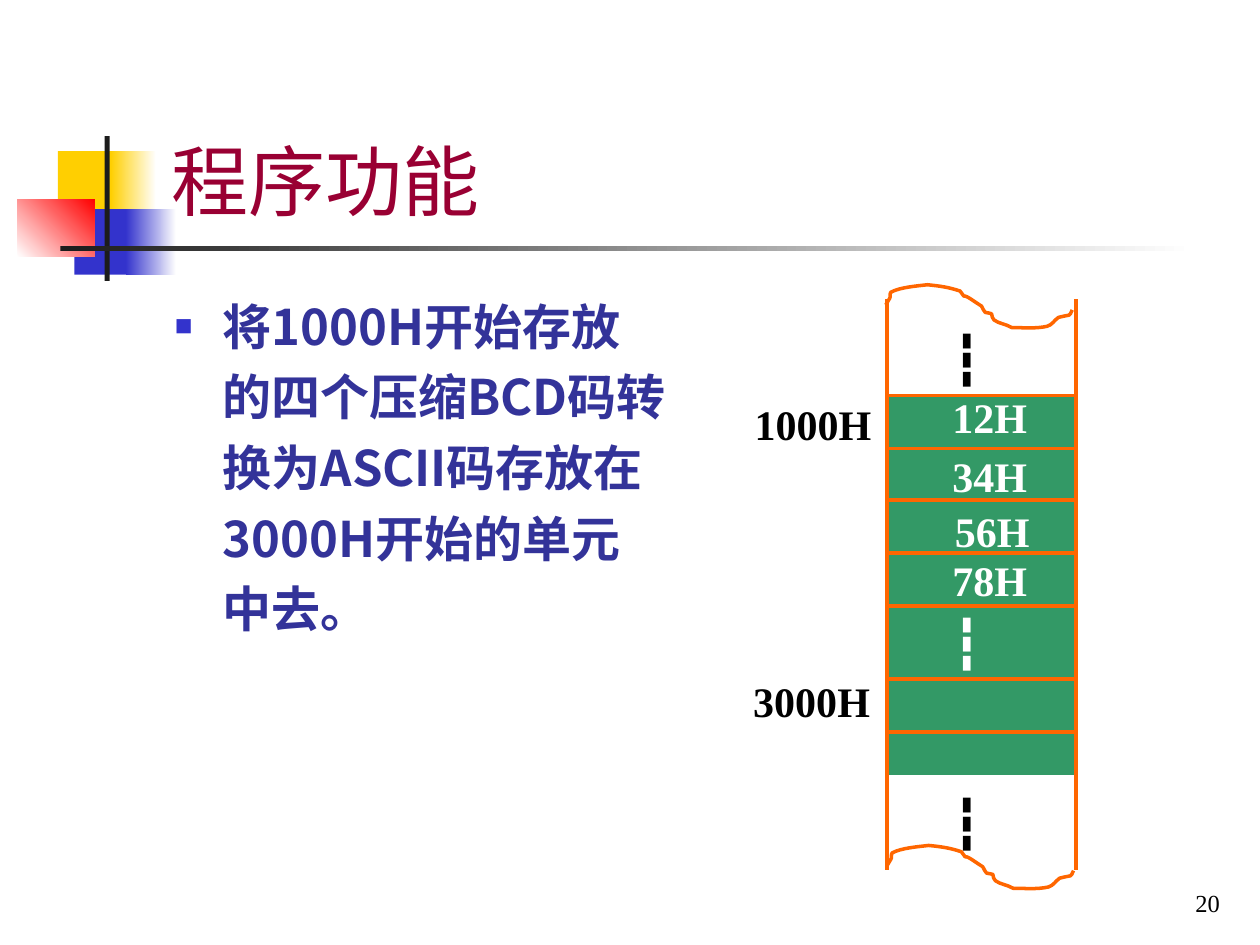
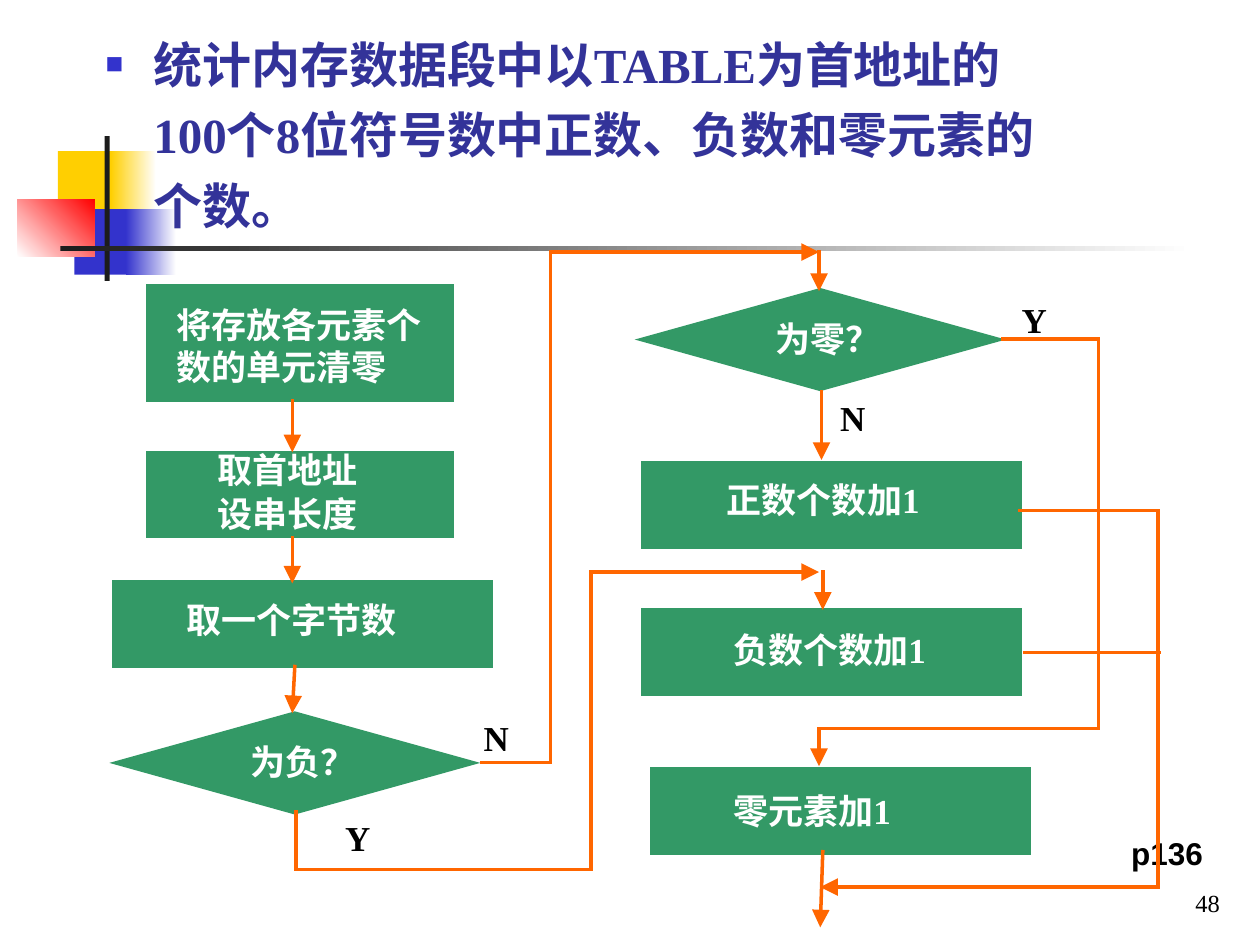
from dataclasses import dataclass
from lxml.etree import SubElement
from pptx import Presentation
from pptx.dml.color import RGBColor
from pptx.enum.shapes import MSO_CONNECTOR as Connector, MSO_SHAPE as Preset
from pptx.enum.text import MSO_ANCHOR as Anchor, PP_ALIGN as Align
from pptx.oxml.ns import qn
from pptx.util import Inches, Pt


@dataclass(frozen=True)
class Theme:
    title: str = "990033"
    body: str = "333399"
    bullet: str = "3333CC"
    green: str = "339966"
    orange: str = "FF6600"
    yellow: str = "FFCF01"
    red: str = "FF0000"
    dark: str = "1C1C1C"
    black: str = "000000"
    white: str = "FFFFFF"
    serif: str = "Times New Roman"
    sans: str = "Arial"
    cjk: str = "Noto Sans CJK SC"
    title_size: int = 44
    body_size: int = 28
    cell_size: int = 24
    step_size: int = 20
    note_size: int = 18
    page_size: int = 14
    line: int = 2


THEME = Theme()


def rgb(value):
    return RGBColor.from_string(value)


def write(frame, text, size=THEME.step_size, color=THEME.white, font=THEME.serif,
          asian=THEME.cjk, bold=True, align=Align.LEFT, bullet=False, gap=0):
    frame.word_wrap = True
    for index, line in enumerate(text.split("\n")):
        paragraph = frame.add_paragraph() if index else frame.paragraphs[0]
        paragraph.alignment = align
        if index:
            paragraph.space_before = Pt(gap)
        if bullet:
            add_bullet(paragraph)
        run = paragraph.add_run()
        run.text = line
        run.font.size, run.font.bold, run.font.name = Pt(size), bold, font
        run.font.color.rgb = rgb(color)
        SubElement(run.font._element, qn("a:ea"), typeface=asian)


def add_bullet(paragraph):
    properties = paragraph._p.get_or_add_pPr()
    properties.set("marL", str(Inches(0.38)))
    properties.set("indent", str(-Inches(0.38)))
    color = SubElement(properties, qn("a:buClr"))
    SubElement(color, qn("a:srgbClr"), val=THEME.bullet)
    SubElement(properties, qn("a:buSzPct"), val="60000")
    SubElement(properties, qn("a:buFont"), typeface=THEME.sans)
    SubElement(properties, qn("a:buChar"), char="■")
    paragraph.line_spacing = 1.2


class Deck:
    def __init__(self, theme):
        self.theme = theme
        self.presentation = Presentation()
        self.presentation.slide_width = Inches(10)
        self.presentation.slide_height = Inches(7.5)
        self.slide = None

    def new_slide(self, number):
        theme = self.theme
        self.slide = self.presentation.slides.add_slide(self.presentation.slide_layouts[6])
        self.box(0.46, 1.2, 0.48, 0.52, theme.yellow)
        self.fade(0.88, 1.2, 0.36, 0.52, theme.yellow, theme.white)
        self.box(0.59, 1.66, 0.46, 0.52, theme.bullet)
        self.fade(1, 1.66, 0.4, 0.52, theme.bullet, theme.white)
        self.fade(0.14, 1.58, 0.61, 0.46, theme.white, theme.red, angle=45)
        self.box(0.83, 1.08, 0.04, 1.15, theme.dark)
        self.fade(0.48, 1.95, 9, 0.04, theme.dark, theme.white)
        self.text(7.7, 6.83, 2.08, 0.5, str(number), anchor=Anchor.BOTTOM,
                  size=theme.page_size, color=theme.black, bold=False, align=Align.RIGHT)

    def box(self, left, top, width, height, fill, line=None, preset=Preset.RECTANGLE):
        shape = self.slide.shapes.add_shape(
            preset, Inches(left), Inches(top), Inches(width), Inches(height))
        shape.shadow.inherit = False
        shape.fill.solid()
        shape.fill.fore_color.rgb = rgb(fill)
        self.outline(shape, line)
        if line:
            SubElement(shape.line._get_or_add_ln(), qn("a:miter"), lim="800000")
        return shape

    def outline(self, shape, color):
        if color:
            shape.line.color.rgb = rgb(color)
            shape.line.width = Pt(self.theme.line)
        else:
            shape.line.fill.background()

    def fade(self, left, top, width, height, start, end, angle=0):
        shape = self.box(left, top, width, height, start)
        shape.fill.gradient()
        shape.fill.gradient_angle = angle
        for stop, color in zip(shape.fill.gradient_stops, (start, end)):
            stop.color.rgb = rgb(color)

    def text(self, left, top, width, height, text, anchor=Anchor.TOP, **style):
        shape = self.slide.shapes.add_textbox(
            Inches(left), Inches(top), Inches(width), Inches(height))
        shape.text_frame.vertical_anchor = anchor
        write(shape.text_frame, text, **style)

    def green_box(self, left, top, width, height, preset=Preset.RECTANGLE):
        self.box(left, top, width, height, self.theme.green, self.theme.green, preset)

    def route(self, *points, arrow=False):
        for index, (start, end) in enumerate(zip(points, points[1:]), 1):
            connector = self.slide.shapes.add_connector(
                Connector.STRAIGHT, *(Inches(value) for value in start + end))
            self.outline(connector, self.theme.orange)
            line = connector.line._get_or_add_ln()
            line.set("cap", "sq")
            if arrow and index == len(points) - 1:
                SubElement(line, qn("a:tailEnd"), type="triangle", w="lg", len="lg")
            SubElement(connector._element.spPr, qn("a:effectLst"))

    def curve(self, points, left=0, top=0):
        points = [(Inches(left + x), Inches(top + y)) for x, y in points]
        builder = self.slide.shapes.build_freeform(*points[0])
        builder.add_line_segments(points[1:], close=False)
        shape = builder.convert_to_shape()
        segments = list(shape._element.iter(qn("a:lnTo")))
        outline = segments[0].getparent()
        for index in range(0, len(segments), 3):
            bezier = SubElement(outline, qn("a:cubicBezTo"))
            for segment in segments[index:index + 3]:
                bezier.append(segment[0])
                outline.remove(segment)
        shape.shadow.inherit = False
        shape.fill.background()
        self.outline(shape, self.theme.orange)


TORN_EDGE = [
    (7.03, 2.42), (7.04, 2.4), (7.05, 2.39), (7.06, 2.37), (7.07, 2.36), (7.06, 2.33),
    (7.07, 2.32), (7.14, 2.28), (7.28, 2.27), (7.36, 2.26), (7.46, 2.27), (7.53, 2.28),
    (7.62, 2.31), (7.68, 2.39), (7.62, 2.32), (7.7, 2.37), (7.73, 2.39), (7.79, 2.43),
    (7.79, 2.43), (7.8, 2.45), (7.81, 2.47), (7.82, 2.48), (7.84, 2.49), (7.86, 2.48),
    (7.87, 2.49), (7.88, 2.51), (7.87, 2.53), (7.89, 2.54), (7.93, 2.57), (7.98, 2.57),
    (8.03, 2.6), (8.12, 2.6), (8.22, 2.61), (8.31, 2.59), (8.35, 2.58), (8.37, 2.54),
    (8.4, 2.52), (8.51, 2.49), (8.48, 2.52), (8.51, 2.46),
]


def memory_slide(deck):
    theme = deck.theme
    deck.new_slide(20)
    deck.text(1.26, 0.24, 8.52, 1.6, "程序功能", anchor=Anchor.BOTTOM,
              size=theme.title_size, color=theme.title, bold=False)
    deck.text(1.29, 2.21, 4.1, 4.54,
              "将1000H开始存放的四个压缩BCD码转换为ASCII码存放在3000H开始的单元中去。",
              size=theme.body_size, color=theme.body, font=theme.cjk, bullet=True)
    left, right = 7.04, 8.54
    deck.green_box(left, 3.14, right - left, 3)
    for x, lower_top in ((left, 3.22), (right, 3.14)):
        deck.route((x, 2.39), (x, 3.31))
        deck.route((x, lower_top), (x, 6.89))
    for y in (3.14, 3.56, 3.97, 4.39, 4.81, 5.39, 5.81):
        deck.route((left, y), (right, y))
    deck.curve(TORN_EDGE)
    deck.curve(TORN_EDGE, left=0.01, top=4.45)
    for top, color in ((2.56, theme.black), (4.81, theme.white), (6.24, theme.black)):
        deck.text(7.46, top, 0.75, 0.57, "┇", size=theme.body_size, color=color,
                  asian=theme.serif)
    for x, top, value in ((7.46, 3.06, "12H"), (7.46, 3.53, "34H"),
                          (7.48, 3.96, "56H"), (7.46, 4.35, "78H")):
        deck.text(x, top, 0.83, 0.5, value, size=theme.cell_size)
    for x, top, address in ((5.89, 3.11, "1000H"), (5.88, 5.31, "3000H")):
        deck.text(x, top, 1.33, 0.5, address, size=theme.cell_size, color=theme.black)


def flowchart_slide(deck):
    theme = deck.theme
    deck.new_slide(48)
    for left, top, width, height in (
            (1.17, 2.27, 2.42, 0.91), (1.17, 3.59, 2.42, 0.67), (0.9, 4.62, 3, 0.67),
            (5.1, 3.67, 3, 0.67), (5.1, 4.84, 3, 0.67), (5.17, 6.1, 3, 0.67)):
        deck.green_box(left, top, width, height)
    for left, top in ((0.92, 5.66), (5.09, 2.3)):
        deck.green_box(left, top, 2.84, 0.79, Preset.FLOWCHART_DECISION)
    for left, top, width, height, step in (
            (1.3, 2.36, 2.2, 0.77, "将存放各元素个数的单元清零"),
            (1.63, 3.51, 1.69, 0.79, "取首地址\n设串长度"),
            (1.38, 4.7, 2.12, 0.44, "取一个字节数"),
            (1.89, 5.83, 1.23, 0.44, "为负？"),
            (6.06, 2.47, 1.23, 0.44, "为零？"),
            (5.67, 3.75, 1.95, 0.44, "正数个数加1"),
            (5.72, 4.94, 1.95, 0.44, "负数个数加1"),
            (5.72, 6.22, 1.66, 0.44, "零元素加1")):
        deck.text(left, top, width, height, step, gap=1.2)
    for left, top, answer in ((3.74, 5.64, "N"), (2.64, 6.43, "Y"),
                              (6.57, 3.1, "N"), (8.01, 2.32, "Y")):
        deck.text(left, top, 0.47, 0.44, answer, color=theme.black)
    deck.text(8.88, 6.57, 0.87, 0.4, "p136", size=theme.note_size,
              color=theme.black, font=theme.sans)
    for points in (
            ((2.32, 3.18), (2.32, 3.59)),
            ((2.32, 4.27), (2.32, 4.63)),
            ((2.34, 5.29), (2.32, 5.66)),
            ((3.82, 6.05), (4.37, 6.05), (4.37, 2), (6.5, 2)),
            ((6.5, 2), (6.5, 2.31)),
            ((6.52, 3.11), (6.52, 3.65)),
            ((2.35, 6.44), (2.35, 6.9), (4.69, 6.9), (4.69, 4.54), (6.5, 4.54)),
            ((6.53, 4.54), (6.53, 4.84)),
            ((7.96, 2.69), (8.72, 2.69), (8.72, 5.78), (6.5, 5.78), (6.5, 6.08)),
            ((8.09, 4.05), (9.19, 4.05), (9.19, 7.04), (6.51, 7.04)),
            ((6.53, 6.76), (6.51, 7.36))):
        deck.route(*points, arrow=True)
    deck.route((8.13, 5.18), (9.2, 5.18))
    deck.text(0.74, 0.13, 7.64, 3.23,
              "统计内存数据段中以TABLE为首地址的100个8位符号数中正数、负数和零元素的个数。",
              size=theme.body_size, color=theme.body, bullet=True)


def main():
    deck = Deck(THEME)
    memory_slide(deck)
    flowchart_slide(deck)
    deck.presentation.save("out.pptx")


if __name__ == "__main__":
    main()
